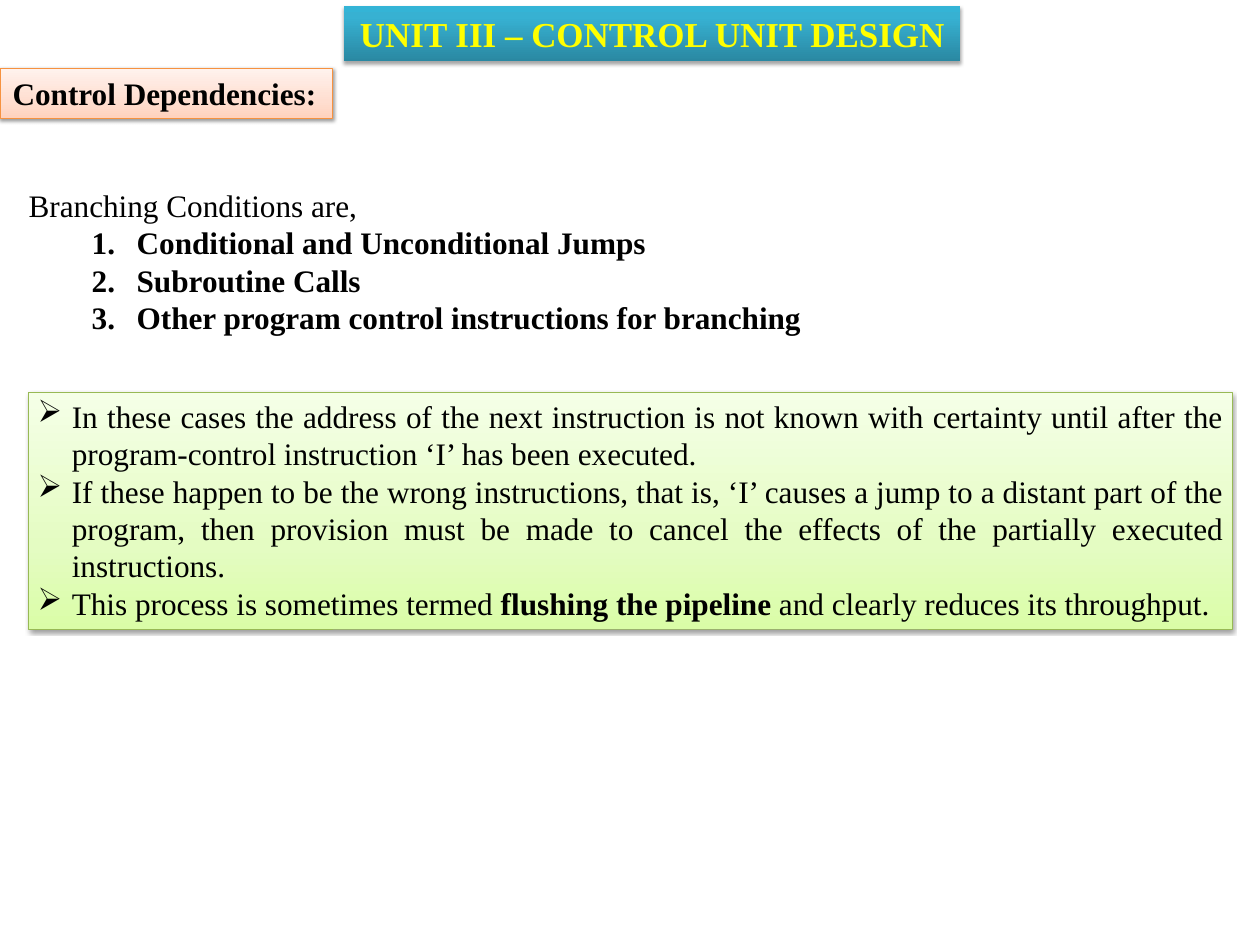
from lxml import etree
from pptx import Presentation
from pptx.dml.color import RGBColor
from pptx.enum import shapes, text
from pptx.oxml.ns import qn
from pptx.util import Inches, Pt

FONT = "Times New Roman"
BLUE = [(0, "2A88A2"), (80, "37B1D2"), (100, "34B4D6")]
PEACH = [(0, "FFD2BD"), (35, "FFDED0"), (100, "FFF2ED")]
GREEN = [(0, "DAFDA7"), (35, "E4FCC2"), (100, "F5FFE7")]

CAUSES = [
    "Conditional and Unconditional Jumps",
    "Subroutine Calls",
    "Other program control instructions for branching",
]
EFFECTS = [
    [("In these cases the address of the next instruction is not known with "
      "certainty until after the program-control instruction ‘I’ has been "
      "executed.", False)],
    [("If these happen to be the wrong instructions, that is, ‘I’ causes a "
      "jump to a distant part of the program, then provision must be made to "
      "cancel the effects of the partially executed instructions.", False)],
    [("This process is sometimes termed ", False),
     ("flushing the pipeline ", True),
     ("and clearly reduces its throughput.", False)],
]


def color(code):
    return RGBColor.from_string(code)


def add_node(parent, tag, **attrs):
    return etree.SubElement(parent, qn(tag), {k: str(v) for k, v in attrs.items()})


def add_tint(parent, code):
    return add_node(parent, "a:srgbClr", val=code)


def set_grad(shape, stops):
    """Fill from bottom to top with (percent, colour) stops."""
    shape.fill.gradient()
    grad = shape.element.spPr.find(qn("a:gradFill"))
    for child in list(grad):
        grad.remove(child)
    row = add_node(grad, "a:gsLst")
    for pos, code in stops:
        add_tint(add_node(row, "a:gs", pos=pos * 1000), code)
    add_node(grad, "a:lin", ang=270 * 60000, scaled=0)


def set_shadow(shape, dist, alpha):
    shape.shadow.inherit = False
    effects = shape.element.spPr.find(qn("a:effectLst"))
    outer = add_node(effects, "a:outerShdw", blurRad=Pt(3.1), dist=Pt(dist),
                     dir=90 * 60000, algn="ctr", rotWithShape=0)
    add_node(add_tint(outer, "000000"), "a:alpha", val=alpha * 1000)


def add_panel(slide, box, stops, edge=None):
    shape = slide.shapes.add_shape(shapes.MSO_SHAPE.RECTANGLE, *map(Inches, box))
    set_grad(shape, stops)
    if edge:
        shape.line.color.rgb = color(edge)
        shape.line.width = Pt(0.75)
        set_shadow(shape, 1.6, 38)
    else:
        shape.line.fill.background()
        set_shadow(shape, 1.8, 35)
    return shape


def set_frame(shape, wrap, side=0.1, top=0.05):
    frame = shape.text_frame
    frame.word_wrap = wrap
    frame.vertical_anchor = text.MSO_ANCHOR.TOP
    frame.margin_left = frame.margin_right = Inches(side)
    frame.margin_top = frame.margin_bottom = Inches(top)
    return frame


def set_bullet(para, left, hang, tag, **attrs):
    props = para._p.get_or_add_pPr()
    props.set("marL", str(Inches(left)))
    props.set("indent", str(-Inches(hang)))
    add_node(props, tag, **attrs)


def add_runs(para, runs, align, size=25, code="000000"):
    para.alignment = align
    for words, bold in runs:
        run = para.add_run()
        run.text = words
        run.font.name = FONT
        run.font.size = Pt(size)
        run.font.bold = bold
        run.font.color.rgb = color(code)


def add_title(slide, box):
    frame = set_frame(add_panel(slide, box, BLUE), False, 0.14, 0.07)
    add_runs(frame.paragraphs[0], [("UNIT III – CONTROL UNIT DESIGN", True)],
             text.PP_ALIGN.CENTER, 28, "FFFF00")


def add_topic(slide, box):
    panel = add_panel(slide, box, PEACH, "F69240")
    frame = set_frame(panel, False, 0.14, 0.07)
    add_runs(frame.paragraphs[0], [("Control Dependencies:", True)],
             text.PP_ALIGN.LEFT)


def add_causes(slide, box):
    frame = set_frame(slide.shapes.add_textbox(*map(Inches, box)), False)
    add_runs(frame.paragraphs[0], [("Branching Conditions are,", False)],
             text.PP_ALIGN.JUSTIFY)
    for cause in CAUSES:
        para = frame.add_paragraph()
        para.level = 1
        set_bullet(para, 1.2, 0.5, "a:buAutoNum", type="arabicPeriod")
        add_runs(para, [(cause, True)], text.PP_ALIGN.JUSTIFY)


def add_effects(slide, box):
    frame = set_frame(add_panel(slide, box, GREEN, "98B955"), True)
    for i, runs in enumerate(EFFECTS):
        para = frame.add_paragraph() if i else frame.paragraphs[0]
        set_bullet(para, 0.38, 0.38, "a:buChar", char="➢")
        add_runs(para, runs, text.PP_ALIGN.JUSTIFY)


def main():
    deck = Presentation()
    deck.slide_width, deck.slide_height = Inches(14), Inches(10.5)
    slide = deck.slides.add_slide(deck.slide_layouts[6])
    add_title(slide, (3.82, 0.07, 6.85, 0.61))
    add_topic(slide, (0, 0.76, 3.7, 0.56))
    add_causes(slide, (0.22, 2.02, 8.89, 1.78))
    add_effects(slide, (0.32, 4.36, 13.37, 2.63))
    deck.save("out.pptx")


if __name__ == "__main__":
    main()
